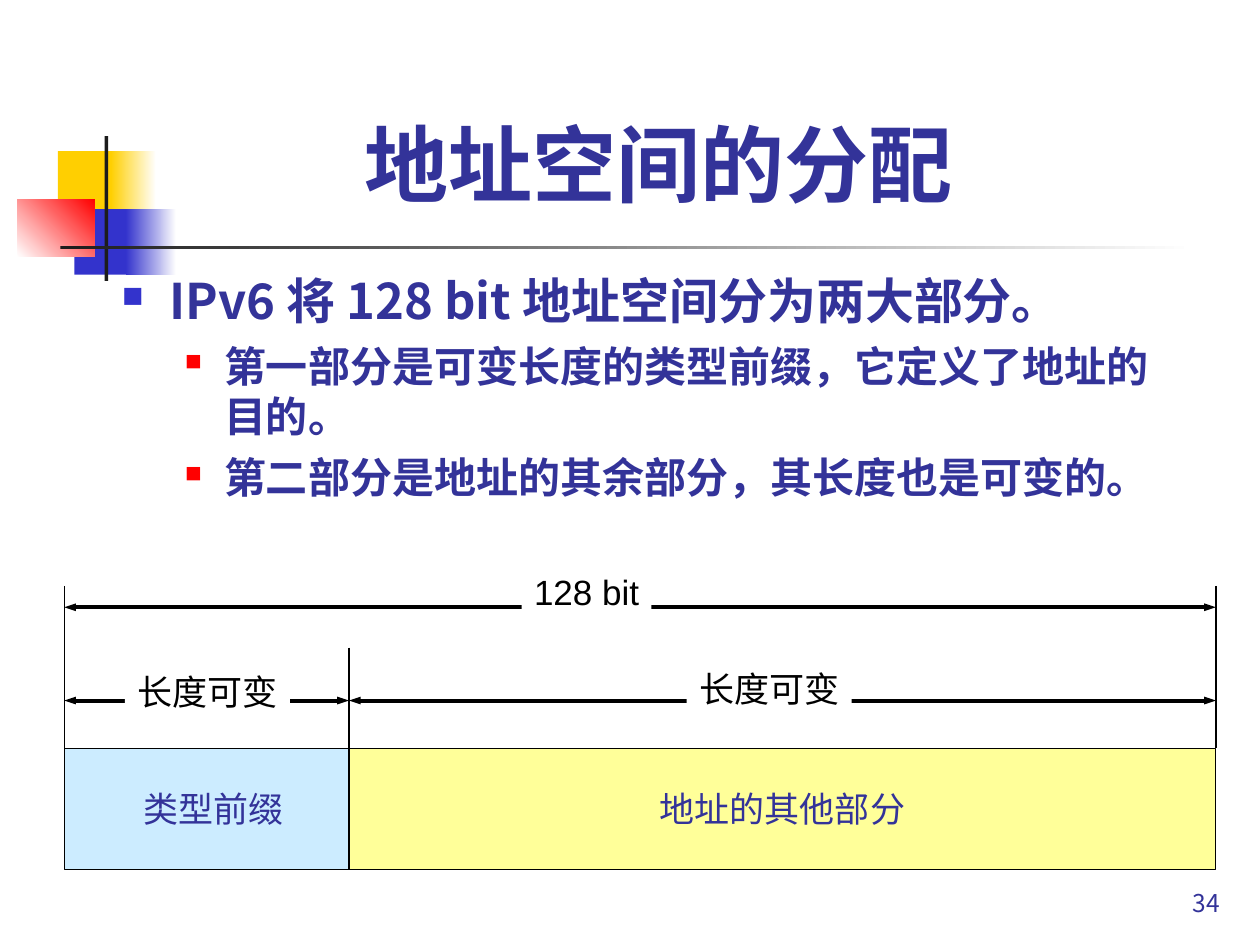
from dataclasses import dataclass
from typing import Optional

from lxml import etree
from pptx import Presentation
from pptx.dml.color import RGBColor
from pptx.enum.shapes import MSO_CONNECTOR, MSO_SHAPE
from pptx.enum.text import MSO_ANCHOR, PP_ALIGN
from pptx.oxml.ns import qn
from pptx.util import Inches, Pt

RECTANGLE = MSO_SHAPE.RECTANGLE
STRAIGHT = MSO_CONNECTOR.STRAIGHT
LEFT, CENTER, RIGHT = PP_ALIGN.LEFT, PP_ALIGN.CENTER, PP_ALIGN.RIGHT
TOP, MIDDLE, BOTTOM = MSO_ANCHOR.TOP, MSO_ANCHOR.MIDDLE, MSO_ANCHOR.BOTTOM


@dataclass(frozen=True)
class Theme:
    heading_font: str = "Noto Sans CJK JP"
    diagram_font: str = "Arial"
    ink: str = "333399"
    black: str = "000000"
    white: str = "FFFFFF"
    charcoal: str = "1C1C1C"
    gold: str = "FFCF01"
    blue: str = "3333CC"
    red: str = "FF0000"
    prefix_fill: str = "CCECFF"
    rest_fill: str = "FFFF99"
    title_size: int = 48
    body_size: int = 28
    detail_size: int = 24
    diagram_size: int = 20
    number_size: int = 14
    line_height: float = 1.2
    thin: float = 0.75
    thick: float = 2.25


THEME = Theme()


@dataclass(frozen=True)
class Box:
    left: float
    top: float
    width: float
    height: float

    def lengths(self) -> tuple:
        return tuple(map(Inches, (self.left, self.top, self.width, self.height)))


@dataclass(frozen=True)
class Block:
    box: Box
    fill: str
    fade_to: Optional[str] = None
    angle: int = 0


@dataclass(frozen=True)
class Bullet:
    level: int
    text: str
    size: int
    color: str
    percent: int
    margin: float
    hanging: float
    space_before: int


@dataclass(frozen=True)
class Field:
    box: Box
    text: str
    fill: str
    color: str
    outlined: bool
    align: PP_ALIGN
    anchor: MSO_ANCHOR


@dataclass(frozen=True)
class Rule:
    start: tuple[float, float]
    end: tuple[float, float]
    weight: float
    arrows: bool = False


def rgb(color: str) -> RGBColor:
    return RGBColor.from_string(color)


def set_font(paragraph, name: str, size: int, color: str, bold: bool = False) -> None:
    font = paragraph.font
    font.name, font.size, font.bold = name, Pt(size), bold
    font.color.rgb = rgb(color)


def set_heading_font(paragraph, size: int, bold: bool) -> None:
    paragraph.line_spacing = Pt(size * THEME.line_height)
    set_font(paragraph, THEME.heading_font, size, THEME.ink, bold)
    properties = paragraph._p.get_or_add_pPr().find(qn("a:defRPr"))
    etree.SubElement(properties, qn("a:ea"), typeface=THEME.heading_font)


def add_text_frame(slide, box: Box, anchor: MSO_ANCHOR):
    frame = slide.shapes.add_textbox(*box.lengths()).text_frame
    frame.word_wrap = True
    frame.vertical_anchor = anchor
    return frame


def add_heading(slide, box: Box, text: str, size: int, align: PP_ALIGN, bold: bool) -> None:
    paragraph = add_text_frame(slide, box, BOTTOM).paragraphs[0]
    paragraph.text = text
    paragraph.alignment = align
    set_heading_font(paragraph, size, bold)


def add_bullets(slide, box: Box, bullets: list[Bullet]) -> None:
    frame = add_text_frame(slide, box, TOP)
    for index, bullet in enumerate(bullets):
        paragraph = frame.add_paragraph() if index else frame.paragraphs[0]
        paragraph.text = bullet.text
        paragraph.level = bullet.level
        paragraph.alignment = LEFT
        paragraph.space_before = Pt(bullet.space_before)
        properties = paragraph._p.get_or_add_pPr()
        properties.set("marL", str(Inches(bullet.margin)))
        properties.set("indent", str(-Inches(bullet.hanging)))
        color = etree.SubElement(properties, qn("a:buClr"))
        etree.SubElement(color, qn("a:srgbClr"), val=bullet.color)
        etree.SubElement(properties, qn("a:buSzPct"), val=str(bullet.percent * 1000))
        etree.SubElement(properties, qn("a:buChar"), char="■")
        set_heading_font(paragraph, bullet.size, True)


def add_block(slide, block: Block):
    shape = slide.shapes.add_shape(RECTANGLE, *block.box.lengths())
    shape.shadow.inherit = False
    shape.line.fill.background()
    if block.fade_to:
        shape.fill.gradient()
        shape.fill.gradient_angle = block.angle
        for stop, color in zip(shape.fill.gradient_stops, (block.fill, block.fade_to)):
            stop.color.rgb = rgb(color)
    else:
        shape.fill.solid()
        shape.fill.fore_color.rgb = rgb(block.fill)
    return shape


def add_field(slide, field: Field) -> None:
    shape = add_block(slide, Block(field.box, field.fill))
    if field.outlined:
        shape.line.color.rgb = rgb(THEME.black)
        shape.line.width = Pt(THEME.thin)
    frame = shape.text_frame
    frame.word_wrap = False
    frame.vertical_anchor = field.anchor
    paragraph = frame.paragraphs[0]
    paragraph.text = field.text
    paragraph.alignment = field.align
    set_font(paragraph, THEME.diagram_font, THEME.diagram_size, field.color)


def add_rule(slide, rule: Rule) -> None:
    connector = slide.shapes.add_connector(STRAIGHT, *map(Inches, rule.start + rule.end))
    connector.line.color.rgb = rgb(THEME.black)
    connector.line.width = Pt(rule.weight)
    etree.SubElement(connector._element.spPr, qn("a:effectLst"))
    if rule.arrows:
        line = connector.line._get_or_add_ln()
        for end in ("a:headEnd", "a:tailEnd"):
            etree.SubElement(line, qn(end), type="triangle", w="sm", len="med")


def add_address_diagram(slide) -> None:
    left, split, right = 0.51, 2.77, 9.65
    top, height = 5.94, 0.96
    total_y, part_y = 4.82, 5.56
    fields = [
        Field(Box(left, top, 2.37, height), "类型前缀", THEME.prefix_fill, THEME.ink, True, CENTER, MIDDLE),
        Field(Box(split, top, right - split, height), "地址的其他部分", THEME.rest_fill, THEME.ink, True, CENTER, MIDDLE),
    ]
    rules = [Rule((x, start), (x, top), THEME.thin) for x, start in ((left, 4.65), (right, 4.65), (split, 5.14))]
    rules += [
        Rule((start, y), (end, y), THEME.thick, True)
        for start, end, y in ((left, split, part_y), (split, right, part_y), (left, right, total_y))
    ]
    labels = [
        Field(Box(x, y, width, 0.44), text, THEME.white, THEME.black, False, LEFT, TOP)
        for x, y, width, text in ((0.99, 5.27, 1.31, "长度可变"), (5.45, 5.25, 1.31, "长度可变"), (4.14, 4.48, 1.03, "128 bit"))
    ]
    for field in fields:
        add_field(slide, field)
    for rule in rules:
        add_rule(slide, rule)
    for label in labels:
        add_field(slide, label)


def main() -> None:
    presentation = Presentation()
    presentation.slide_width, presentation.slide_height = Inches(10), Inches(7.5)
    slide = presentation.slides.add_slide(presentation.slide_layouts[6])
    ornaments = [
        Block(Box(0.46, 1.2, 0.48, 0.52), THEME.gold),
        Block(Box(0.88, 1.2, 0.36, 0.52), THEME.gold, THEME.white),
        Block(Box(0.59, 1.66, 0.46, 0.52), THEME.blue),
        Block(Box(1, 1.66, 0.4, 0.52), THEME.blue, THEME.white),
        Block(Box(0.14, 1.58, 0.61, 0.46), THEME.white, THEME.red, 45),
        Block(Box(0.83, 1.08, 0.03, 1.15), THEME.charcoal),
        Block(Box(0.48, 1.95, 9, 0.03), THEME.charcoal, THEME.white),
    ]
    for ornament in ornaments:
        add_block(slide, ornament)
    add_heading(slide, Box(7.7, 6.83, 2.08, 0.5), "34", THEME.number_size, RIGHT, False)
    add_heading(slide, Box(0.98, 0.91, 8.5, 0.83), "地址空间的分配", THEME.title_size, CENTER, True)
    details = ("第一部分是可变长度的类型前缀，它定义了地址的目的。", "第二部分是地址的其余部分，其长度也是可变的。")
    bullets = [Bullet(0, "IPv6 将 128 bit 地址空间分为两大部分。", THEME.body_size, THEME.blue, 60, 0.38, 0.38, 0)]
    bullets += [Bullet(1, text, THEME.detail_size, THEME.red, 55, 0.81, 0.31, 6) for text in details]
    add_bullets(slide, Box(0.87, 2.1, 8.5, 2.54), bullets)
    add_address_diagram(slide)
    presentation.save("out.pptx")


if __name__ == "__main__":
    main()
